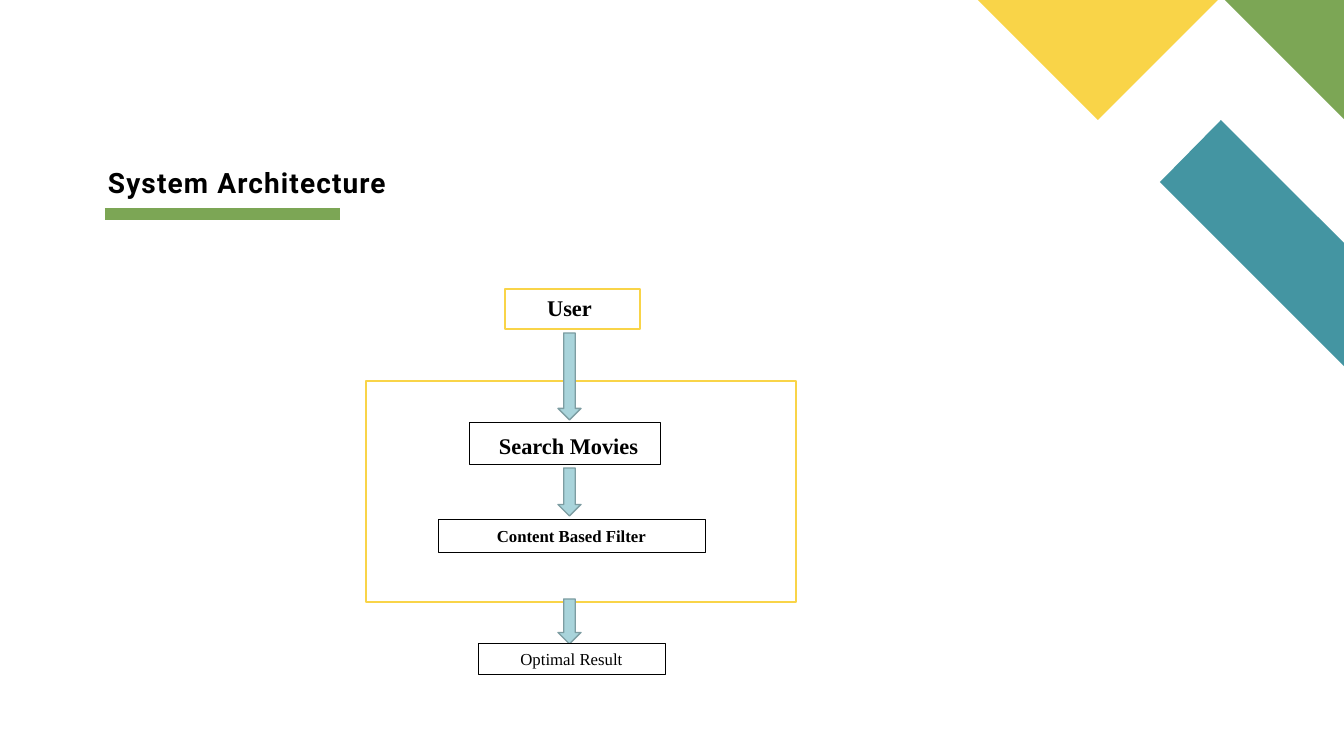
from lxml.etree import SubElement
from pptx import Presentation
from pptx.dml.color import RGBColor as RGB
from pptx.enum.shapes import MSO_CONNECTOR as LINK, MSO_SHAPE as KIND
from pptx.enum.text import MSO_ANCHOR as ANCHOR, PP_ALIGN as ALIGN
from pptx.oxml.ns import qn
from pptx.util import Pt

PX = 914400 / 100.8
INK = {
    "white": "FFFFFF", "black": "000000", "green": "7CA655", "teal": "4495A2",
    "yellow": "F9D448", "pale": "A9D4DB", "edge": "7D9DA2",
}
SERIF = "Times New Roman"


def px(*vals):
    return [round(val * PX) for val in vals]


def ink(name):
    return RGB.from_string(INK[name])


def style(para, size, face, bold):
    font = para.font
    font.size, font.name, font.bold = Pt(size), face, bold
    font.color.rgb = ink("black")


def add_title(slide, text, area):
    title = slide.shapes.title
    title.left, title.top, title.width, title.height = px(*area)
    frame = title.text_frame
    frame.margin_left = frame.margin_top = 0
    frame.margin_right = frame.margin_bottom = 0
    frame.vertical_anchor = ANCHOR.BOTTOM
    frame.text = text
    para = frame.paragraphs[0]
    para.alignment, para.line_spacing = ALIGN.LEFT, 0.9
    style(para, 20, "Roboto", True)
    para.runs[0].font._element.set("spc", "80")


def add_rule(slide, ends, color, width):
    rule = slide.shapes.add_connector(LINK.STRAIGHT, *px(*ends))
    rule.line.color.rgb, rule.line.width = ink(color), Pt(width)
    SubElement(rule._element.spPr, qn("a:effectLst"))


def add_patch(slide, points, color):
    pen = slide.shapes.build_freeform(*points[0], scale=PX)
    pen.add_line_segments(points[1:], close=True)
    patch = pen.convert_to_shape()
    patch.shadow.inherit = False
    patch.fill.solid()
    patch.fill.fore_color.rgb = ink(color)
    patch.line.fill.background()


def add_form(slide, kind, area, fill, line, width):
    form = slide.shapes.add_shape(kind, *px(*area))
    form.shadow.inherit = False
    form.fill.solid()
    form.fill.fore_color.rgb = ink(fill)
    form.line.color.rgb, form.line.width = ink(line), Pt(width)
    return form


def add_box(slide, area, line="black", width=0.5):
    return add_form(slide, KIND.RECTANGLE, area, "white", line, width)


def add_arrow(slide, top, height):
    add_form(slide, KIND.DOWN_ARROW, (558, top, 23, height), "pale", "edge", 1)


def write(shape, text, size, bold):
    frame = shape.text_frame
    frame.word_wrap = True
    frame.text = text
    frame.paragraphs[0].alignment = ALIGN.CENTER
    style(frame.paragraphs[0], size, SERIF, bold)


def add_label(slide, area, text):
    write(slide.shapes.add_textbox(*px(*area)), text, 16, True)


def main():
    deck = Presentation()
    deck.slide_width, deck.slide_height = px(1344, 756)
    slide = deck.slides.add_slide(deck.slide_layouts[5])

    # Title and corner pattern
    add_rule(slide, (105, 214, 340, 214), "green", 8)
    add_patch(slide, [(1344, 366), (1344, 243), (1221, 120), (1160, 182)], "teal")
    add_patch(slide, [(1344, 119), (1344, 0), (1225, 0)], "green")
    add_patch(slide, [(978, 0), (1098, 120), (1218, 0)], "yellow")
    add_title(slide, "System Architecture", (108, 132, 544, 68))

    # User and system frames
    add_box(slide, (505, 289, 135, 40), "yellow", 1)
    add_box(slide, (366, 381, 430, 221), "yellow", 1)

    # Steps
    add_box(slide, (469, 422, 191, 42))
    add_label(slide, (509, 289, 121, 37), "User")
    add_label(slide, (478, 427, 181, 37), "Search Movies")
    write(add_box(slide, (438, 519, 267, 33)), "Content Based Filter", 12, True)

    # Flow
    for top, height in ((333, 87), (468, 48), (599, 45)):
        add_arrow(slide, top, height)
    write(add_box(slide, (478, 643, 187, 31)), "Optimal Result", 12, False)

    deck.save("out.pptx")


if __name__ == "__main__":
    main()
